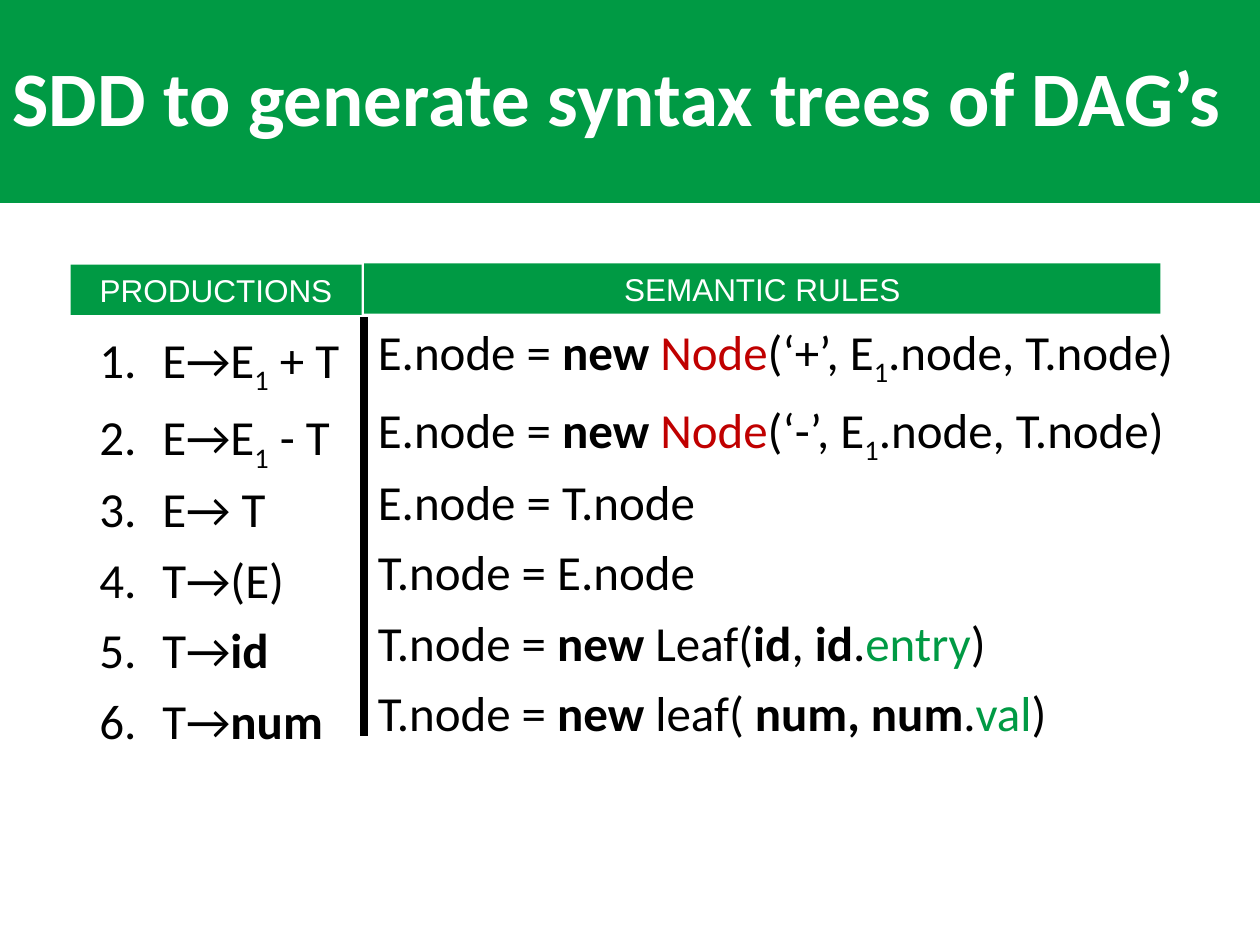
from lxml.etree import SubElement
from pptx import Presentation
from pptx.dml.color import RGBColor
from pptx.enum.shapes import MSO_CONNECTOR as Connector, MSO_SHAPE as Shape
from pptx.enum.text import MSO_ANCHOR as Anchor, PP_ALIGN as Align
from pptx.oxml.ns import qn
from pptx.util import Inches, Pt

GREEN, RED, BLACK, WHITE = "009A44", "C00000", "000000", "FFFFFF"

STYLES = {
    "plain": {},
    "bold": {"bold": True},
    "red": {"color": RED},
    "green": {"color": GREEN},
    "sub": {"baseline": -25000},
}


def plain(text):
    return text, "plain"


def bold(text):
    return text, "bold"


def node_rule(sign):
    return [plain("E.node = "), bold("new "), ("Node", "red"),
            plain(f"(‘{sign}’, E"), ("1", "sub"), plain(".node, T.node)")]


def binary_production(sign):
    return [plain("E→E"), ("1", "sub"), plain(f" {sign} T")]


PRODUCTIONS = [
    binary_production("+"),
    binary_production("-"),
    [plain("E→ T")],
    [plain("T→(E)")],
    [plain("T→"), bold("id")],
    [plain("T→"), bold("num")],
]

RULES = [
    node_rule("+"),
    node_rule("-"),
    [plain("E.node = T.node")],
    [plain("T.node = E.node")],
    [plain("T.node = "), bold("new"), plain(" Leaf("), bold("id"), plain(", "),
     bold("id"), plain("."), ("entry", "green"), plain(")")],
    [plain("T.node = "), bold("new"), plain(" leaf( "), bold("num, num"),
     plain("."), ("val", "green"), plain(")")],
]


def rgb(color):
    return RGBColor.from_string(color)


def set_all(target, values):
    for name, value in values.items():
        setattr(target, name, value)


def add_span(para, text, name, size, color, baseline=None, bold=False):
    span = para.add_run()
    span.text = text
    set_all(span.font, {"name": name, "size": Pt(size), "bold": bold})
    span.font.color.rgb = rgb(color)
    if baseline:
        span.font._element.set("baseline", str(baseline))


def fill_plain(shape, color):
    shape.fill.solid()
    shape.fill.fore_color.rgb = rgb(color)
    shape.line.fill.background()


def add_title(page, text):
    title = page.shapes.title
    set_all(title, {"left": 0, "top": 0, "width": Inches(10), "height": Inches(1.61)})
    fill_plain(title, GREEN)
    title.text_frame.vertical_anchor = Anchor.MIDDLE
    para = title.text_frame.paragraphs[0]
    set_all(para, {"alignment": Align.LEFT, "line_spacing": 0.9})
    add_span(para, text, "Calibri", 44, WHITE, bold=True)


def add_header(page, text, left, top, width):
    box = page.shapes.add_shape(Shape.RECTANGLE, Inches(left), Inches(top),
                                Inches(width), Inches(0.4))
    box.shadow.inherit = False
    fill_plain(box, GREEN)
    para = box.text_frame.paragraphs[0]
    para.alignment = Align.CENTER
    add_span(para, text, "Arial", 18, WHITE)


def add_column(page, lines, left, top, width, indent, numbered=False):
    box = page.shapes.add_textbox(Inches(left), Inches(top), Inches(width), Inches(3.6))
    frame = box.text_frame
    frame.word_wrap = True
    for index, line in enumerate(lines):
        para = frame.add_paragraph() if index else frame.paragraphs[0]
        set_all(para, {"line_spacing": 0.9, "space_before": Pt(10)})
        props = para._p.get_or_add_pPr()
        props.set("marL", str(Inches(indent)))
        props.set("indent", str(-Inches(indent)))
        if numbered:
            SubElement(props, qn("a:buFont"), typeface="+mj-lt")
            SubElement(props, qn("a:buAutoNum"), type="arabicPeriod")
        for text, style in line:
            add_span(para, text, **{"name": "Calibri", "size": 28, "color": BLACK,
                                    **STYLES[style]})


def add_divider(page, left, top, bottom):
    line = page.shapes.add_connector(Connector.STRAIGHT, Inches(left), Inches(top),
                                     Inches(left), Inches(bottom))
    line.line.color.rgb = rgb(BLACK)
    line.line.width = Pt(4.5)
    SubElement(line._element.spPr, qn("a:effectLst"))


def main():
    deck = Presentation()
    set_all(deck, {"slide_width": Inches(10), "slide_height": Inches(7.5)})
    page = deck.slides.add_slide(deck.slide_layouts[5])
    add_title(page, "SDD to generate syntax trees of DAG’s")
    add_column(page, PRODUCTIONS, 0.69, 2.57, 2.2, 0.5, numbered=True)
    add_column(page, RULES, 2.9, 2.51, 6.75, 0.25)
    add_header(page, "PRODUCTIONS", 0.56, 2.1, 2.31)
    add_header(page, "SEMANTIC RULES", 2.89, 2.09, 6.32)
    add_divider(page, 2.89, 2.52, 5.84)
    deck.save("out.pptx")


if __name__ == "__main__":
    main()
